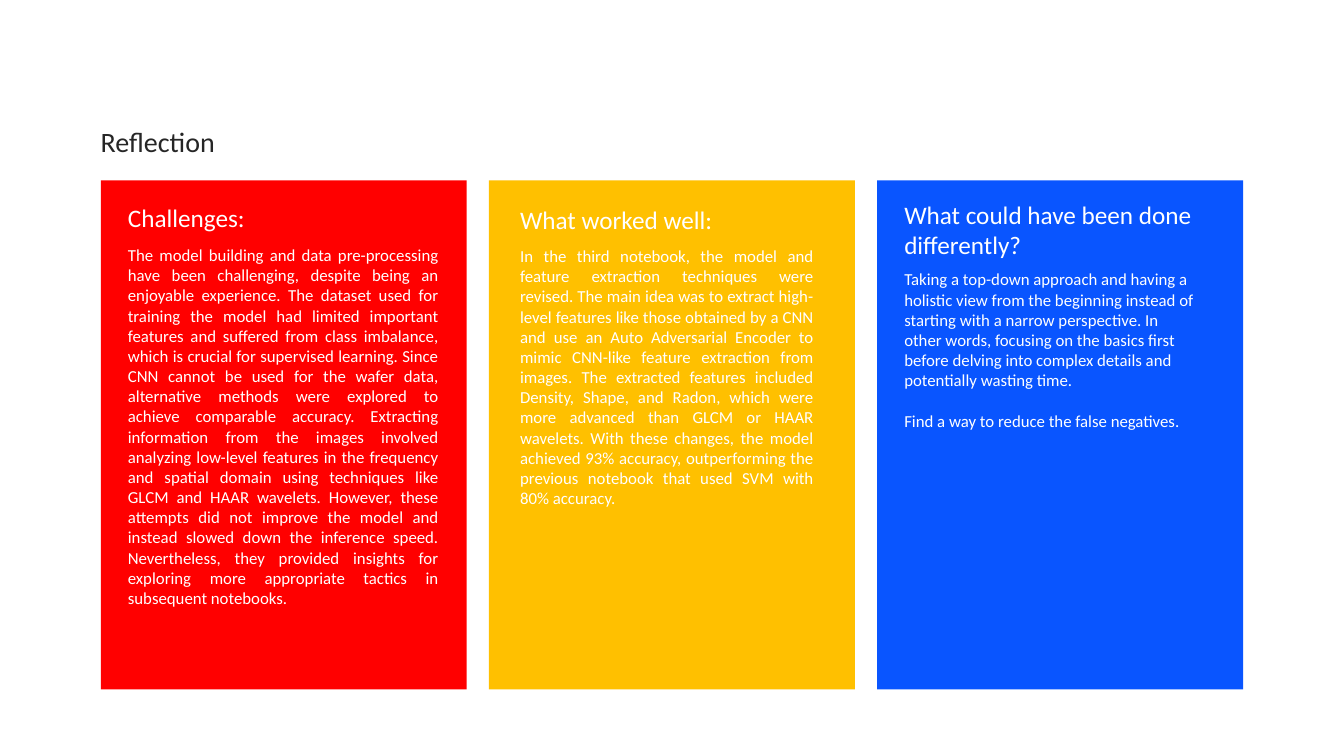
from pptx import Presentation
from pptx.dml.color import RGBColor
from pptx.enum import shapes, text
from pptx.util import Inches, Pt

# Content
HEADING = "Reflection"
COLUMNS = [
    {
        "title": "Challenges:",
        "body": [
            "The model building and data pre-processing have been challenging, despite being an "
            "enjoyable experience. The dataset used for training the model had limited important "
            "features and suffered from class imbalance, which is crucial for supervised learning. "
            "Since CNN cannot be used for the wafer data, alternative methods were explored to "
            "achieve comparable accuracy. Extracting information from the images involved analyzing "
            "low-level features in the frequency and spatial domain using techniques like GLCM and "
            "HAAR wavelets. However, these attempts did not improve the model and instead slowed "
            "down the inference speed. Nevertheless, they provided insights for exploring more "
            "appropriate tactics in subsequent notebooks."
        ],
        "fill": "red", "align": "JUSTIFY",
        "title_box": (1.17, 1.96, 1.66, 0.4), "body_box": (1.17, 2.38, 3.28, 4.14),
    },
    {
        "title": "What worked well:",
        "body": [
            "In the third notebook, the model and feature extraction techniques were revised. The "
            "main idea was to extract high-level features like those obtained by a CNN and use an "
            "Auto Adversarial Encoder to mimic CNN-like feature extraction from images. The "
            "extracted features included Density, Shape, and Radon, which were more advanced than "
            "GLCM or HAAR wavelets. With these changes, the model achieved 93% accuracy, "
            "outperforming the previous notebook that used SVM with 80% accuracy."
        ],
        "fill": "amber", "align": "JUSTIFY",
        "title_box": (5.06, 1.98, 2.34, 0.4), "body_box": (5.06, 2.39, 3.11, 2.93),
    },
    {
        "title": "What could have been done differently?",
        "body": [
            "Taking a top-down approach and having a holistic view from the beginning instead of "
            "starting with a narrow perspective. In other words, focusing on the basics first "
            "before delving into complex details and potentially wasting time.",
            "Find a way to reduce the false negatives.",
        ],
        "fill": "blue", "align": "LEFT",
        "title_box": (8.87, 1.93, 3.28, 0.71), "body_box": (8.87, 2.62, 3.11, 1.92),
    },
]

# Theme and layout
THEME = {
    "font": "Calibri",
    "colors": {"ink": "262626", "white": "FFFFFF",
               "red": "FF0000", "amber": "FFC000", "blue": "0955FF"},
    "sizes": {"heading": 20, "title": 18, "body": 12},
}
HEADING_BOX = (0.9, 1.19, 1.56, 0.44)
PANEL_LEFT, PANEL_TOP, PANEL_WIDTH, PANEL_HEIGHT = 1, 1.79, 3.63, 5.05
PANEL_PITCH = 3.85
PARAGRAPH_GAP = 14.6


def color(name):
    return RGBColor.from_string(THEME["colors"][name])


def add_panel(slide, index, fill):
    left = PANEL_LEFT + index * PANEL_PITCH
    panel = slide.shapes.add_shape(
        shapes.MSO_SHAPE.RECTANGLE,
        *map(Inches, (left, PANEL_TOP, PANEL_WIDTH, PANEL_HEIGHT)))
    panel.shadow.inherit = False
    panel.fill.solid()
    panel.fill.fore_color.rgb = color(fill)
    panel.line.fill.background()


def add_text(slide, box, paragraphs, role, ink="white", align="LEFT"):
    frame = slide.shapes.add_textbox(*map(Inches, box)).text_frame
    frame.word_wrap = True
    frame.auto_size = text.MSO_AUTO_SIZE.SHAPE_TO_FIT_TEXT
    font_format = {"name": THEME["font"], "size": Pt(THEME["sizes"][role])}
    for index, words in enumerate(paragraphs):
        paragraph = frame.add_paragraph() if index else frame.paragraphs[0]
        paragraph.alignment = getattr(text.PP_ALIGN, align)
        if index:
            paragraph.space_before = Pt(PARAGRAPH_GAP)
        run = paragraph.add_run()
        run.text = words
        for attribute, value in font_format.items():
            setattr(run.font, attribute, value)
        run.font.color.rgb = color(ink)


def main():
    deck = Presentation()
    deck.slide_width, deck.slide_height = Inches(13.33), Inches(7.5)
    slide = deck.slides.add_slide(deck.slide_layouts[6])

    # Heading
    add_text(slide, HEADING_BOX, [HEADING], "heading", ink="ink")

    # Panels with their title and body
    for index, column in enumerate(COLUMNS):
        add_panel(slide, index, column["fill"])
        add_text(slide, column["body_box"], column["body"], "body", align=column["align"])
        add_text(slide, column["title_box"], [column["title"]], "title")

    deck.save("out.pptx")


if __name__ == "__main__":
    main()
